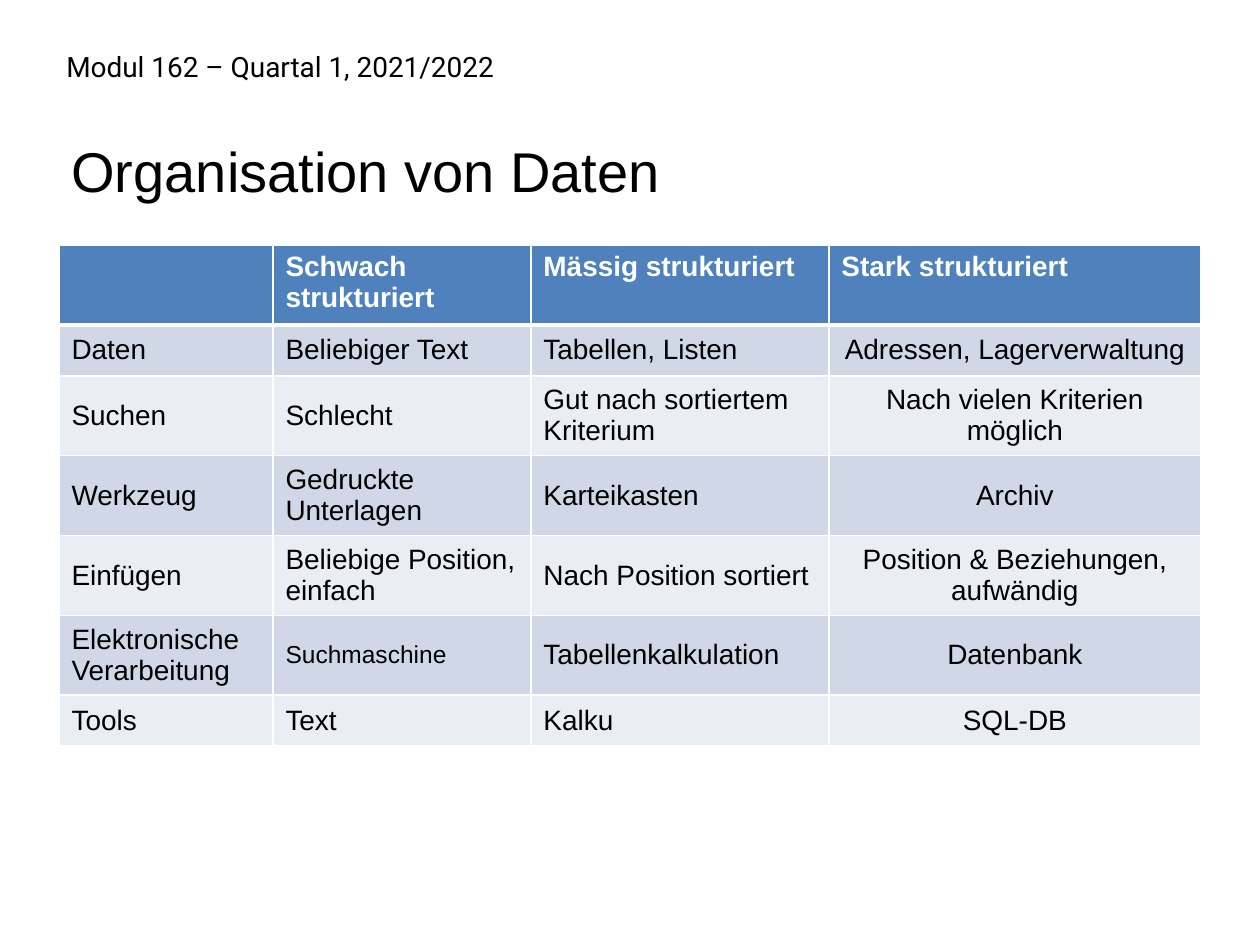
from lxml import etree
from pptx import Presentation
from pptx import util as u
from pptx.dml.color import RGBColor
from pptx.enum import text
from pptx.oxml.ns import qn

# Content
MODULE = "Modul 162 – Quartal 1, 2021/2022"
TITLE = "Organisation von Daten"
ROWS = [
    ("", "Schwach strukturiert", "Mässig strukturiert", "Stark strukturiert"),
    ("Daten", "Beliebiger Text", "Tabellen, Listen", "Adressen, Lagerverwaltung"),
    ("Suchen", "Schlecht", "Gut nach sortiertem Kriterium", "Nach vielen Kriterien möglich"),
    ("Werkzeug", "Gedruckte Unterlagen", "Karteikasten", "Archiv"),
    ("Einfügen", "Beliebige Position, einfach", "Nach Position sortiert",
     "Position & Beziehungen, aufwändig"),
    ("Elektronische Verarbeitung", "Suchmaschine", "Tabellenkalkulation", "Datenbank"),
    ("Tools", "Text", "Kalku", "SQL-DB"),
]
SMALL = {"Suchmaschine": 14}
COLS = [214, 258, 298, 372]
ROW = 51
COLOR = {"head": "4F81BD", "odd": "D0D8E8", "even": "E9EDF4",
         "line": "FFFFFF", "light": "FFFFFF", "dark": "000000"}


def px(n):
    return u.Emu(n * 914400 // 126)


def rgb(name):
    return RGBColor.from_string(COLOR[name])


def style(para, size, color="dark", face="Arial", bold=False):
    font = para.font
    font.size, font.name, font.bold = u.Pt(size), face, bold
    font.color.rgb = rgb(color)


def label(slide, words, box, size, face="Arial", inset=6):
    frame = slide.shapes.add_textbox(*map(px, box)).text_frame
    frame.word_wrap = True
    frame.margin_top = px(inset)
    para = frame.paragraphs[0]
    para.text = words
    style(para, size, face=face)
    return para


def edge(cell, side, width):
    line = etree.SubElement(cell._tc.get_or_add_tcPr(), qn("a:ln" + side), w=str(u.Pt(width)))
    fill = etree.SubElement(line, qn("a:solidFill"))
    etree.SubElement(fill, qn("a:srgbClr"), val=COLOR["line"])


def fill_cell(cell, words, row, col):
    head = row == 0
    # Borders come before the fill; a thick rule divides head and body
    for side in "LRTB":
        thick = (row, side) in ((0, "B"), (1, "T"))
        edge(cell, side, 3 if thick else 1)
    cell.fill.solid()
    cell.fill.fore_color.rgb = rgb("head" if head else "odd" if row % 2 else "even")
    para = cell.text_frame.paragraphs[0]
    para.text = words
    style(para, SMALL.get(words, 16), "light" if head else "dark", bold=head)
    if not head:
        cell.vertical_anchor = text.MSO_ANCHOR.MIDDLE
        if col == len(COLS) - 1:
            para.alignment = text.PP_ALIGN.CENTER


def main():
    deck = Presentation()
    deck.slide_width, deck.slide_height = px(1260), px(945)
    slide = deck.slides.add_slide(deck.slide_layouts[6])

    # Module line and title
    module = label(slide, MODULE, (54, 16, 983, 84), 16, "Roboto")
    module.line_spacing = u.Pt(35)
    label(slide, TITLE, (59, 125, 1143, 129), 32, inset=12)

    # Table
    frame = slide.shapes.add_table(len(ROWS), len(COLS), px(59), px(245),
                                   px(sum(COLS)), px(ROW * len(ROWS)))
    table = frame.table
    for col, width in enumerate(COLS):
        table.columns[col].width = px(width)
    for row, cells in enumerate(ROWS):
        table.rows[row].height = px(ROW)
        for col, words in enumerate(cells):
            fill_cell(table.cell(row, col), words, row, col)

    deck.save("out.pptx")


if __name__ == "__main__":
    main()
